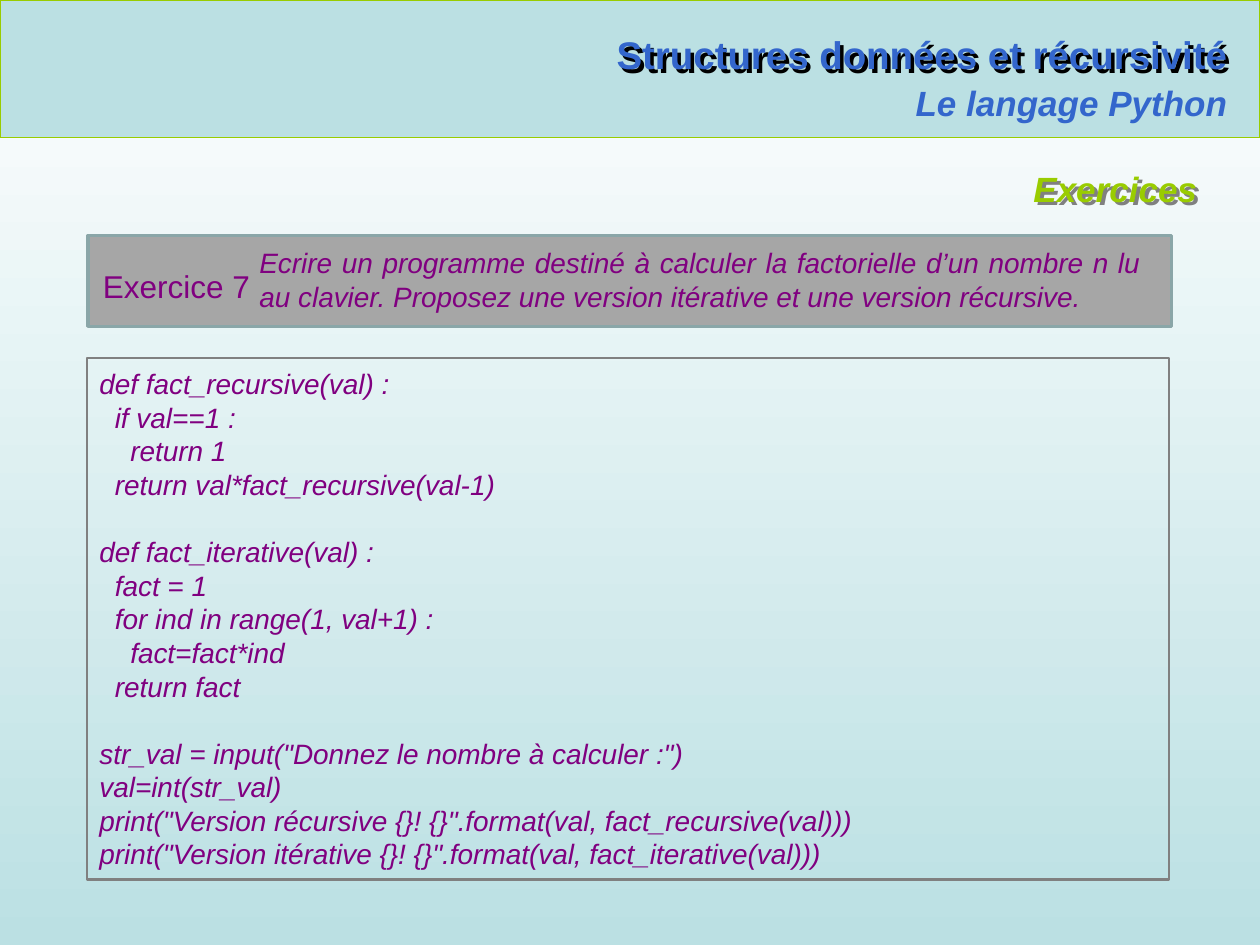
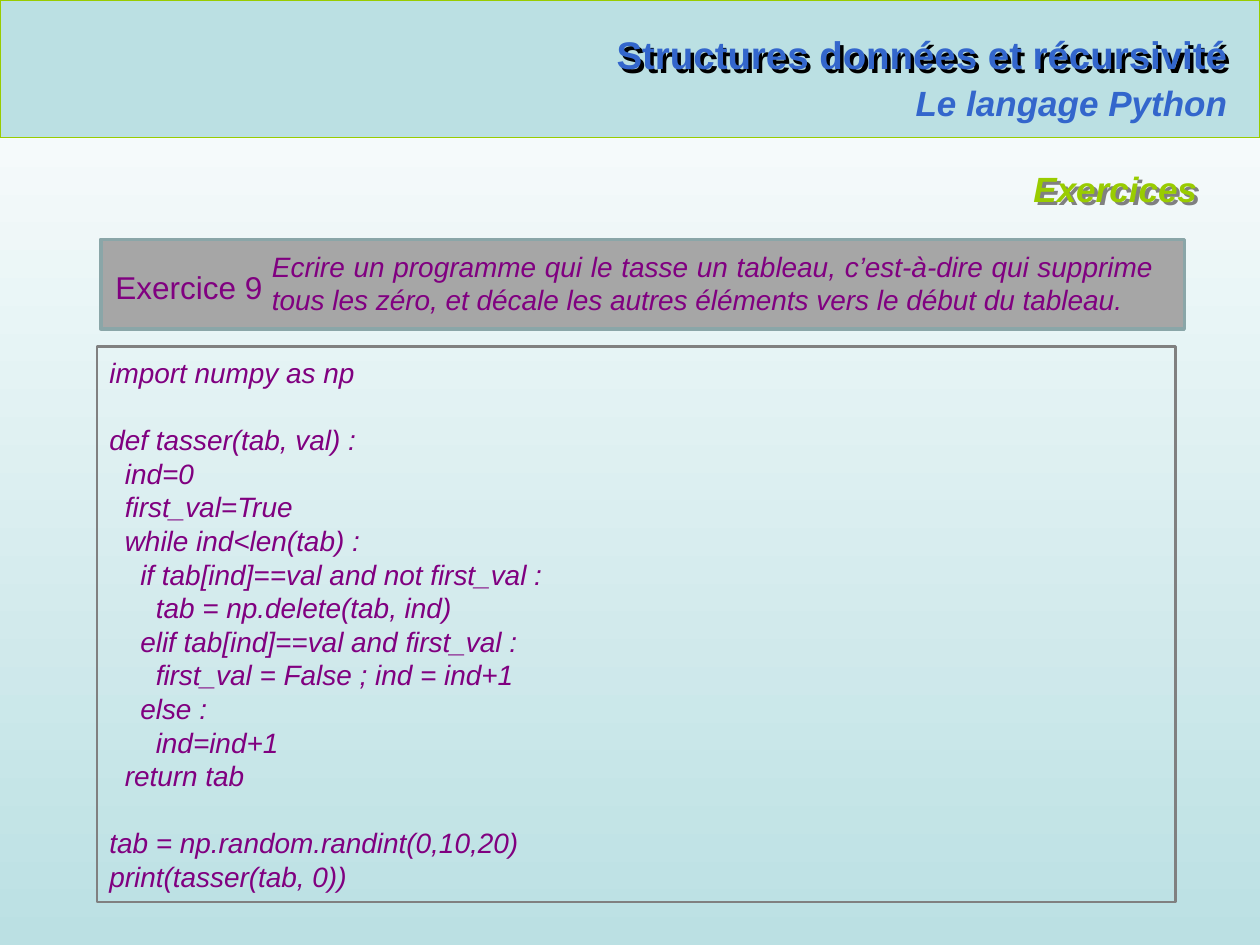
"""Build two Python exercise slides with a shared header, prompt panel and code frame."""
from lxml import etree
from pptx import Presentation
from pptx.dml.color import RGBColor
from pptx.enum.shapes import MSO_CONNECTOR, MSO_SHAPE
from pptx.enum.text import MSO_ANCHOR, PP_ALIGN
from pptx.oxml.ns import qn
from pptx.util import Inches, Pt

RECTANGLE = MSO_SHAPE.RECTANGLE
STRAIGHT = MSO_CONNECTOR.STRAIGHT
MIDDLE = MSO_ANCHOR.MIDDLE
LEFT, CENTER, RIGHT, JUSTIFY = PP_ALIGN.LEFT, PP_ALIGN.CENTER, PP_ALIGN.RIGHT, PP_ALIGN.JUSTIFY

FONT = "Arial"
LINE_FACTOR = 1.2
COLORS = {
    "white": "FFFFFF",
    "band": "BBE0E3",
    "green": "99CC00",
    "blue": "3366CC",
    "panel": "A6A6A6",
    "panel_edge": "8AA6A8",
    "purple": "800080",
    "gray": "808080",
    "black": "000000",
}

EXERCISES = [
    {
        "label": "Exercice 7",
        "prompt": "Ecrire un programme destiné à calculer la factorielle d’un nombre n lu "
                  "au clavier. Proposez une version itérative et une version récursive.",
        "panel": (0.7, 1.87, 0.72),
        "label_top": 2.07,
        "code_frame": (0.69, 2.84, 8.59, 4.14),
        "code": '''def fact_recursive(val) :
  if val==1 :
    return 1
  return val*fact_recursive(val-1)

def fact_iterative(val) :
  fact = 1
  for ind in range(1, val+1) :
    fact=fact*ind
  return fact

str_val = input("Donnez le nombre à calculer :")
val=int(str_val)
print("Version récursive {}! {}".format(val, fact_recursive(val)))
print("Version itérative {}! {}".format(val, fact_iterative(val)))''',
    },
    {
        "label": "Exercice 9",
        "prompt": "Ecrire un programme qui le tasse un tableau, c’est-à-dire qui supprime "
                  "tous les zéro, et décale les autres éléments vers le début du tableau.",
        "panel": (0.8, 1.9, 0.71),
        "label_top": 2.08,
        "code_frame": (0.77, 2.75, 8.56, 4.41),
        "code": '''import numpy as np

def tasser(tab, val) :
  ind=0
  first_val=True
  while ind<len(tab) :
    if tab[ind]==val and not first_val :
      tab = np.delete(tab, ind)
    elif tab[ind]==val and first_val :
      first_val = False ; ind = ind+1
    else :
      ind=ind+1
  return tab

tab = np.random.randint(0,10,20)
print(tasser(tab, 0))''',
    },
]


def rgb(name):
    """Return the named colour."""
    return RGBColor.from_string(COLORS[name])


def set_background(slide):
    """Fill the slide with a gradient from white down to the band colour."""
    fill = slide.background.fill
    fill.gradient()
    fill.gradient_angle = 270
    for stop, position, color in zip(fill.gradient_stops, (0, 1), ("white", "band")):
        stop.position = position
        stop.color.rgb = rgb(color)


def add_box(slide, box, fill, line, width):
    """Add a rectangle, without fill when fill is None."""
    shape = slide.shapes.add_shape(RECTANGLE, *map(Inches, box))
    shape.shadow.inherit = False
    if fill:
        shape.fill.solid()
        shape.fill.fore_color.rgb = rgb(fill)
    else:
        shape.fill.background()
    shape.line.color.rgb = rgb(line)
    shape.line.width = Pt(width)
    return shape


def write_line(paragraph, text, size, color, align, bold=False, italic=False):
    """Write one styled run in a paragraph."""
    paragraph.alignment = align
    paragraph.line_spacing = Pt(size * LINE_FACTOR)
    run = paragraph.add_run()
    run.text = text
    run.font.name = FONT
    run.font.size = Pt(size)
    run.font.color.rgb = rgb(color)
    run.font.bold = bold
    run.font.italic = italic


def add_text(slide, box, text, size, color, align, wrap=False, **style):
    """Add a text box holding one paragraph."""
    shape = slide.shapes.add_textbox(*map(Inches, box))
    shape.text_frame.word_wrap = wrap
    write_line(shape.text_frame.paragraphs[0], text, size, color, align, **style)
    return shape


def add_effects(shape):
    """Append an empty effect list to a shape or connector."""
    return etree.SubElement(shape._element.spPr, qn("a:effectLst"))


def add_text_shadow(shape, color):
    """Cast a hard shadow to the lower right of an unfilled text box."""
    shadow = etree.SubElement(add_effects(shape), qn("a:outerShdw"),
                              dist=str(Pt(2.83)), dir="2700000", algn="ctr", rotWithShape="0")
    etree.SubElement(shadow, qn("a:srgbClr"), val=COLORS[color])


def add_header(slide):
    """Add the band, course titles, rule and section title."""
    add_box(slide, (0, 0, 10, 1.09), "band", "green", 0.75)
    title = add_text(slide, (4.73, 0.2, 5.11, 0.47), "Structures données et récursivité",
                     22, "blue", RIGHT, bold=True)
    add_text_shadow(title, "black")
    add_text(slide, (7.14, 0.6, 2.7, 0.44), "Le langage Python",
             20, "blue", RIGHT, bold=True, italic=True)
    rule = slide.shapes.add_connector(STRAIGHT, Inches(0.34), Inches(1.09),
                                      Inches(9.76), Inches(1.09))
    rule.line.color.rgb = rgb("green")
    rule.line.width = Pt(0.75)
    add_effects(rule)
    section = add_text(slide, (4.2, 1.28, 5.4, 0.44), "Exercices",
                       20, "green", RIGHT, wrap=True, bold=True, italic=True)
    add_text_shadow(section, "gray")


def add_prompt(slide, exercise):
    """Add the gray panel with the exercise label and its statement."""
    left, top, height = exercise["panel"]
    add_box(slide, (left, top, 8.6, height), "panel", "panel_edge", 2)
    add_text(slide, (left + 0.01, exercise["label_top"], 1.38, 0.4), exercise["label"],
             18, "purple", CENTER)
    add_text(slide, (left + 1.26, top + 0.03, 7.19, 0.64), exercise["prompt"],
             16, "purple", JUSTIFY, wrap=True, italic=True)


def add_code(slide, box, code, size=16):
    """Add a framed listing whose blocks are one line apart."""
    text_frame = add_box(slide, box, None, "gray", 1.25).text_frame
    text_frame.word_wrap = True
    text_frame.vertical_anchor = MIDDLE
    paragraph = text_frame.paragraphs[0]
    for block_index, block in enumerate(code.split("\n\n")):
        for line_index, line in enumerate(block.split("\n")):
            if block_index or line_index:
                paragraph = text_frame.add_paragraph()
            if block_index and not line_index:
                paragraph.space_before = Pt(size * LINE_FACTOR)
            write_line(paragraph, line, size, "purple", LEFT, italic=True)


def main():
    """Build and save the presentation."""
    presentation = Presentation()
    presentation.slide_width = Inches(10)
    presentation.slide_height = Inches(7.5)
    for exercise in EXERCISES:
        slide = presentation.slides.add_slide(presentation.slide_layouts[6])
        set_background(slide)
        add_header(slide)
        add_prompt(slide, exercise)
        add_code(slide, exercise["code_frame"], exercise["code"])
    presentation.save("out.pptx")


if __name__ == "__main__":
    main()
